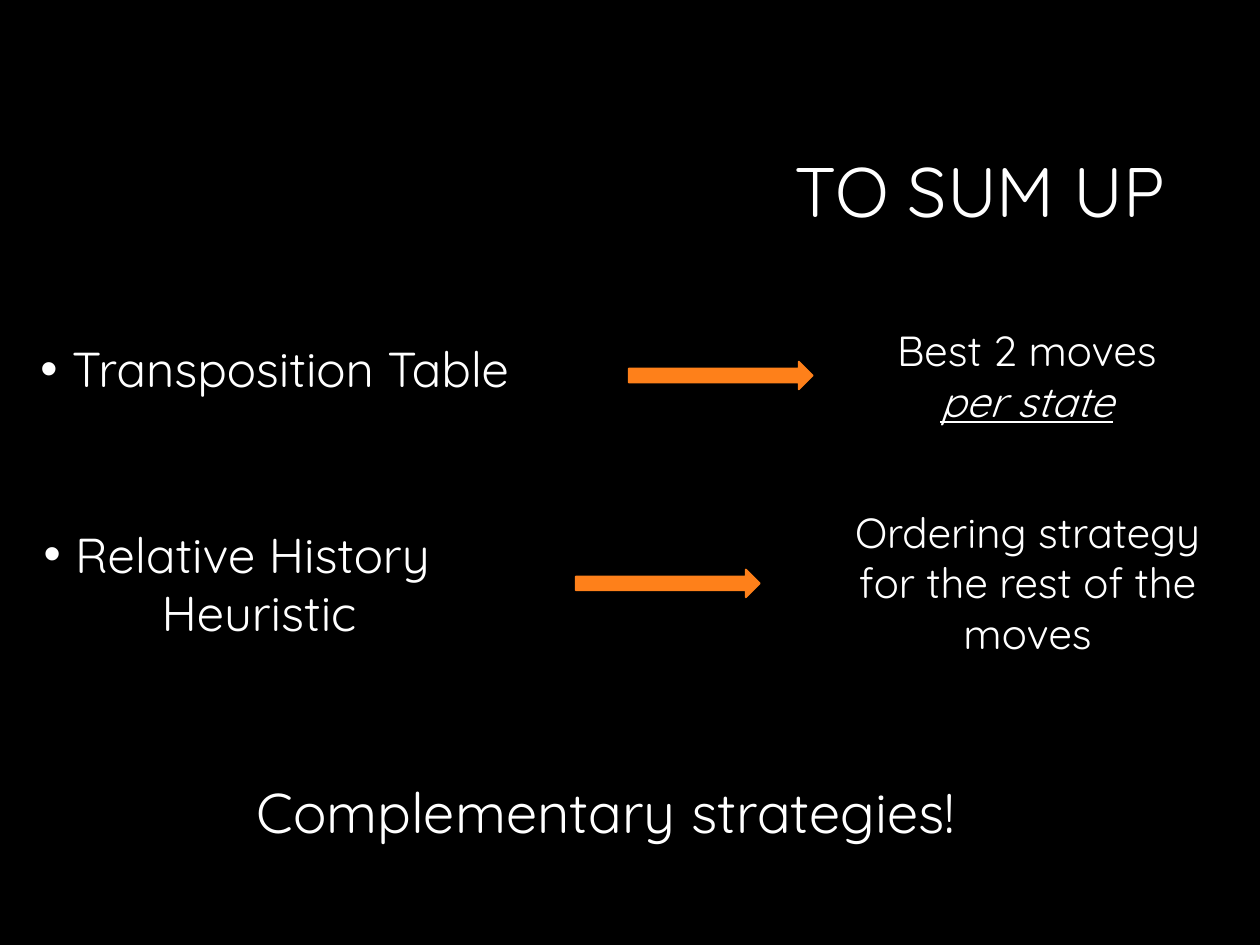
import pptx
import pptx.util
import pptx.dml.color
import pptx.enum.shapes
import pptx.enum.text
import pptx.oxml.ns
import lxml.etree

Inches = pptx.util.Inches
Pt = pptx.util.Pt
ALIGN = pptx.enum.text.PP_ALIGN
FIT = pptx.enum.text.MSO_AUTO_SIZE
BLACK = pptx.dml.color.RGBColor(0, 0, 0)
WHITE = pptx.dml.color.RGBColor(255, 255, 255)
ORANGE = pptx.dml.color.RGBColor(0xFE, 0x80, 0x1A)
FONT = "Quicksand"


def place(shape, left, top, width, height):
    shape.left, shape.top = Inches(left), Inches(top)
    shape.width, shape.height = Inches(width), Inches(height)


def fill_text(shape, text, size, align, wrap=True, fit=FIT.NONE):
    frame = shape.text_frame
    frame.text = text
    frame.word_wrap = wrap
    frame.auto_size = fit
    for para in frame.paragraphs:
        para.alignment = align
        for run in para.runs:
            run.font.name = FONT
            run.font.size = Pt(size)
            run.font.color.rgb = WHITE
    return frame


def add_label(slide, box, text, size, align=ALIGN.CENTER, wrap=False):
    shape = slide.shapes.add_textbox(*map(Inches, box))
    return fill_text(shape, text, size, align, wrap, FIT.SHAPE_TO_FIT_TEXT)


def add_bullet(para):
    props = para._p.get_or_add_pPr()
    props.set("marL", str(Inches(0.25)))
    props.set("indent", str(-Inches(0.25)))
    qn = pptx.oxml.ns.qn
    lxml.etree.SubElement(props, qn("a:buFont")).set("typeface", "Arial")
    lxml.etree.SubElement(props, qn("a:buChar")).set("char", "\u2022")


def add_arrow(slide, left, top):
    kind = pptx.enum.shapes.MSO_SHAPE.RIGHT_ARROW
    arrow = slide.shapes.add_shape(
        kind, Inches(left), Inches(top), Inches(1.46), Inches(0.22))
    arrow.shadow.inherit = False
    arrow.fill.solid()
    arrow.fill.fore_color.rgb = ORANGE
    arrow.line.color.rgb = ORANGE
    arrow.line.width = Pt(1)


def main():
    deck = pptx.Presentation()
    deck.slide_width, deck.slide_height = Inches(10), Inches(7.5)
    slide = deck.slides.add_slide(deck.slide_layouts[1])
    slide.background.fill.solid()
    slide.background.fill.fore_color.rgb = BLACK

    title = slide.shapes.title
    place(title, 2.38, 0.84, 6.97, 1.41)
    frame = fill_text(title, "TO SUM UP", 40, ALIGN.RIGHT)
    frame.vertical_anchor = pptx.enum.text.MSO_ANCHOR.MIDDLE
    frame.paragraphs[0].line_spacing = 0.9

    body = slide.placeholders[1]
    place(body, 0.22, 2.69, 8.7, 0.59)
    para = fill_text(body, "Transposition Table", 28, ALIGN.LEFT).paragraphs[0]
    para.line_spacing = 0.9
    para.space_before = Pt(10)
    add_bullet(para)

    frame = add_label(slide, (0.22, 4.11, 3.42, 1.04),
                      "Relative History \vHeuristic", 28)
    add_bullet(frame.paragraphs[0])

    frame = add_label(slide, (7, 2.53, 2.3, 0.91),
                      "Best 2 moves\nper state", 24)
    font = frame.paragraphs[1].runs[0].font
    font.italic = font.underline = True

    add_label(slide, (6.47, 3.97, 3.37, 1.31),
              "Ordering strategy for the rest of the moves", 24, wrap=True)
    for left, top in ((4.99, 2.87), (4.57, 4.52)):
        add_arrow(slide, left, top)
    add_label(slide, (1.94, 6.12, 6.11, 0.64),
              "Complementary strategies!", 32, ALIGN.LEFT)
    deck.save("out.pptx")


main()
